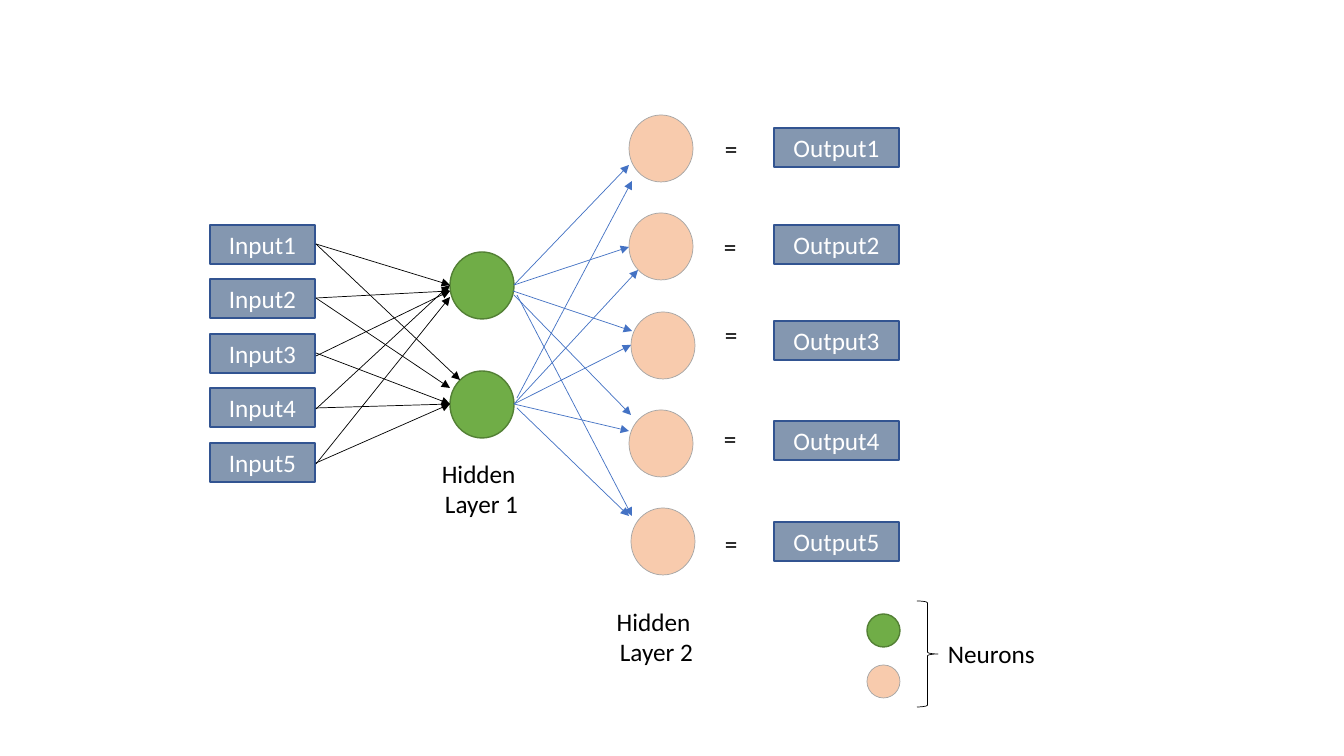
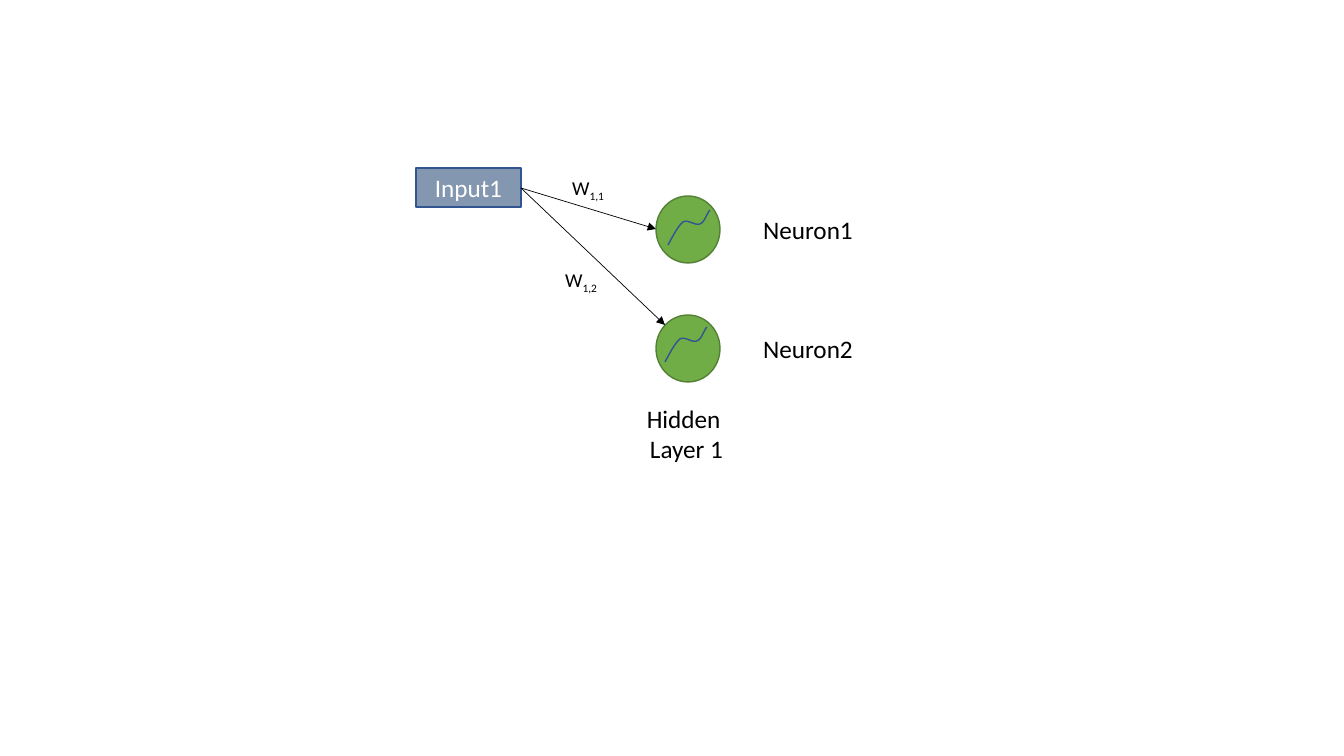
from dataclasses import dataclass

from pptx import Presentation
from pptx.dml.color import RGBColor
from pptx.enum.shapes import MSO_CONNECTOR as Link, MSO_SHAPE as Kind
from pptx.enum.text import MSO_ANCHOR as Anchor, MSO_AUTO_SIZE as Fit, PP_ALIGN as Align
from pptx.oxml.ns import qn
from pptx.oxml.xmlchemy import OxmlElement as Node
from pptx.util import Emu, Pt


@dataclass(frozen=True)
class Theme:
    font: str = "Calibri"
    size: int = 18
    small: int = 14
    thin: float = 0.5
    edge: float = 1
    ink: str = "000000"
    paper: str = "FFFFFF"
    box: str = "8497B0"
    navy: str = "325491"
    blue: str = "4472C4"
    green: tuple = ("70AD47", "538035", 1)
    peach: tuple = ("F8CBAD", "A5A5A5", 0.5)


look = Theme()
SCALE = 9144000 / 1008
CELL = (64, 67)
ROW = 39

rows = 5
in_left, in_top, in_step, in_wide = 210, 225, 54.4, 105
out_left, out_wide = 774, 125
out_tops = (128, 225, 321, 421, 522)
signs = ((715, 128), (714, 226), (715, 314), (714, 418), (715, 523))
first = ((450, 252), (450, 371))
last_lefts = (629, 629, 631, 629, 631)
last_top, last_step = 115, 98.3

in_links = (
    (316, 244, 450, 285), (316, 298, 450, 291), (316, 356, 450, 291),
    (316, 409, 450, 285), (316, 464, 450, 297), (316, 244, 460, 380),
    (316, 298, 450, 388), (316, 353, 450, 404), (316, 408, 450, 404),
    (316, 463, 450, 404),
)
out_links = (
    (514, 285, 629, 165), (514, 285, 629, 247), (513, 291, 632, 331),
    (514, 295, 631, 415), (517, 295, 632, 516), (517, 398, 632, 181),
    (514, 404, 638, 270), (514, 404, 631, 345), (514, 404, 629, 431),
    (517, 408, 629, 516),
)
layers = (("Layer 1", 427, 453, 109), ("Layer 2", 599, 601, 115))
keys = ((614, look.green), (665, look.peach))

pair = ((656, 196), (656, 315))
pair_links = ((521, 188, 656, 229), (521, 188, 665, 325))
names = (("Neuron1", 209), ("Neuron2", 328))
weights = (("1,1", 559, 171, 58), ("1,2", 549, 263, 64))
waves = ((668, 245), (665, 362))
bends = (
    ((0, 0), (5, -9), (10, -19), (15, -23)),
    ((15, -23), (20, -26), (27, -19), (32, -21)),
    ((32, -21), (37, -23), (39, -32), (42, -35)),
)


def emu(*sizes):
    return [Emu(round(n * SCALE)) for n in sizes]


def tint(hue):
    return RGBColor.from_string(hue)


def trace(line, hue, width):
    line.color.rgb = tint(hue)
    line.width = Pt(width)


def style(para, hue, align):
    para.alignment = align
    para.font.name = look.font
    para.font.size = Pt(look.size)
    para.font.color.rgb = tint(hue)


def shape(slide, kind, area, fill, hue, width):
    item = slide.shapes.add_shape(kind, *emu(*area))
    item.shadow.inherit = False
    if fill:
        item.fill.solid()
        item.fill.fore_color.rgb = tint(fill)
    else:
        item.fill.background()
    trace(item.line, hue, width)
    return item


def label(slide, text, left, top, wide):
    item = shape(slide, Kind.RECTANGLE, (left, top, wide, ROW),
                 look.box, look.navy, look.edge)
    frame = item.text_frame
    frame.vertical_anchor = Anchor.MIDDLE
    frame.text = text
    style(frame.paragraphs[0], look.paper, Align.CENTER)


def cell(slide, left, top, skin, size=CELL):
    shape(slide, Kind.OVAL, (left, top, *size), *skin)


def note(slide, text, area, align=Align.CENTER, wrap=True):
    frame = slide.shapes.add_textbox(*emu(*area)).text_frame
    frame.word_wrap = wrap
    frame.auto_size = Fit.SHAPE_TO_FIT_TEXT
    frame.text = text
    for para in frame.paragraphs:
        style(para, look.ink, align)
    return frame


def layer(slide, name, left, top, wide):
    note(slide, "Hidden \n" + name, (left, top, wide, 71))


def arrow(slide, ends, hue):
    item = slide.shapes.add_connector(Link.STRAIGHT, *emu(*ends))
    trace(item.line, hue, look.thin)
    props = item.element.spPr
    tip = Node("a:tailEnd")
    tip.set("type", "triangle")
    props.find(qn("a:ln")).append(tip)
    props.append(Node("a:effectLst"))


def weight(slide, index, left, top, wide):
    para = note(slide, "W", (left, top, wide, 34)).paragraphs[0]
    sub = para.add_run()
    sub.text = index
    para.font.size = Pt(look.small)
    for run in para.runs:
        run.font.size = Pt(look.small)
    sub.font.name = look.font
    sub.font.color.rgb = tint(look.ink)
    sub.font.bold = False
    list(slide.shapes[-1].element.iter(qn("a:rPr")))[-1].set("baseline", "-25000")


def curve(bend, steps=8):
    for step in range(1, steps + 1):
        t = step / steps
        mix = ((1 - t) ** 3, 3 * t * (1 - t) ** 2, 3 * t * t * (1 - t), t ** 3)
        yield tuple(sum(m * dot[axis] for m, dot in zip(mix, bend)) for axis in (0, 1))


def wave(slide, left, base):
    path = slide.shapes.build_freeform(*emu(left, base))
    dots = [emu(left + x, base + y) for bend in bends for x, y in curve(bend)]
    path.add_line_segments(dots, close=False)
    item = path.convert_to_shape()
    item.shadow.inherit = False
    item.fill.background()
    trace(item.line, look.navy, look.edge)


def network(slide):
    for i in range(rows):
        label(slide, f"Input{i + 1}", in_left, round(in_top + i * in_step), in_wide)
        label(slide, f"Output{i + 1}", out_left, out_tops[i], out_wide)
        cell(slide, last_lefts[i], round(last_top + i * last_step), look.peach)
        note(slide, "=", (*signs[i], 33, 40), Align.LEFT, False)
    for spot in first:
        cell(slide, *spot, look.green)
    for links, hue in ((in_links, look.ink), (out_links, look.blue)):
        for ends in links:
            arrow(slide, ends, hue)
    for entry in layers:
        layer(slide, *entry)
    for top, skin in keys:
        cell(slide, 867, top, skin, (33, 33))
    shape(slide, Kind.RIGHT_BRACE, (917, 601, 21, 106), None, look.ink, look.thin)
    note(slide, "Neurons", (938, 633, 108, 40), Align.LEFT, False)


def detail(slide):
    label(slide, "Input1", 416, 168, in_wide)
    for spot in pair:
        cell(slide, *spot, look.green)
    for ends in pair_links:
        arrow(slide, ends, look.ink)
    layer(slide, "Layer 1", 632, 398, 109)
    for name, top in names:
        note(slide, name, (720, top, 176, 40))
    for spot in waves:
        wave(slide, *spot)
    for entry in weights:
        weight(slide, *entry)


deck = Presentation()
deck.slide_width, deck.slide_height = emu(1344, 756)
for draw in (network, detail):
    draw(deck.slides.add_slide(deck.slide_layouts[6]))
deck.save("out.pptx")
